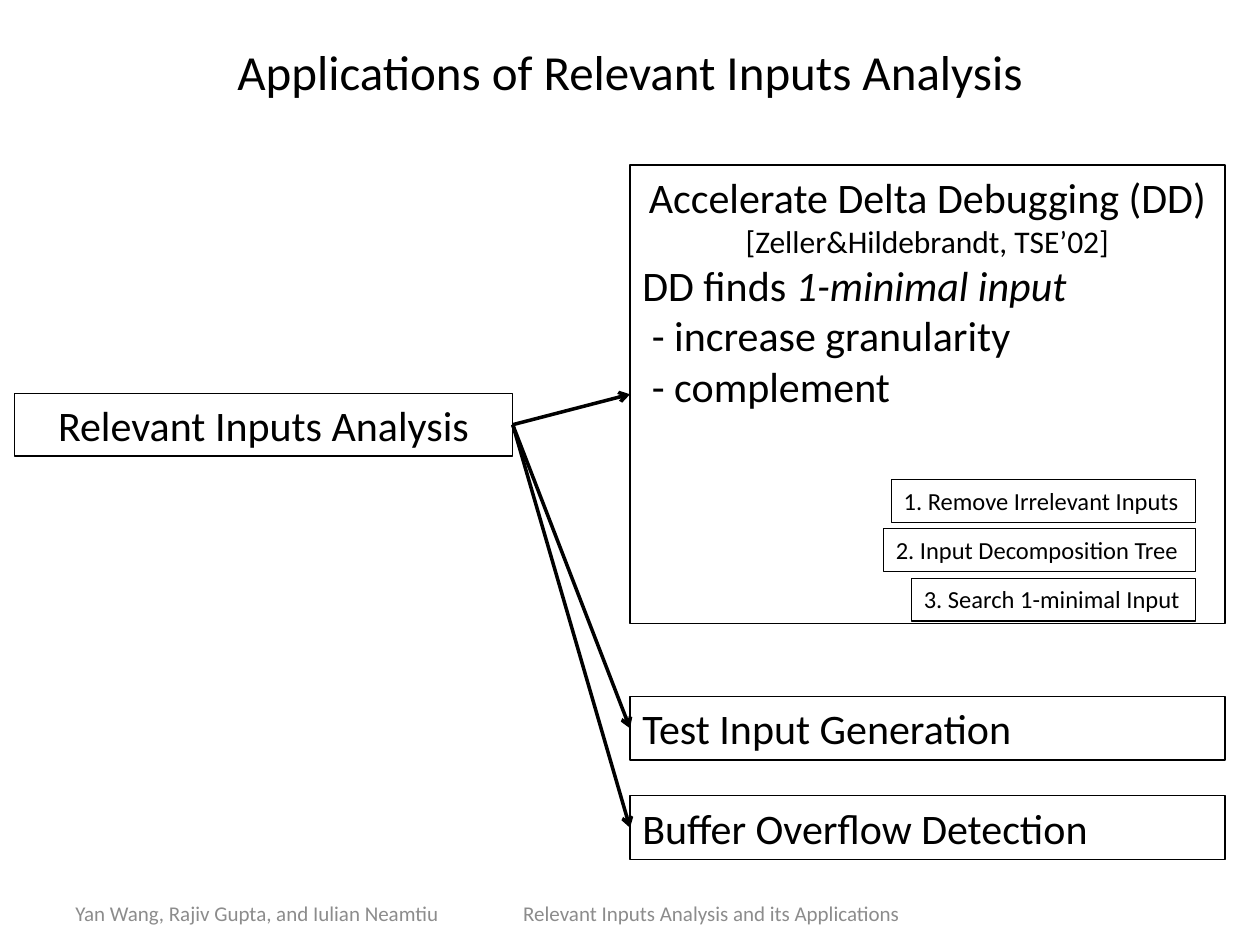
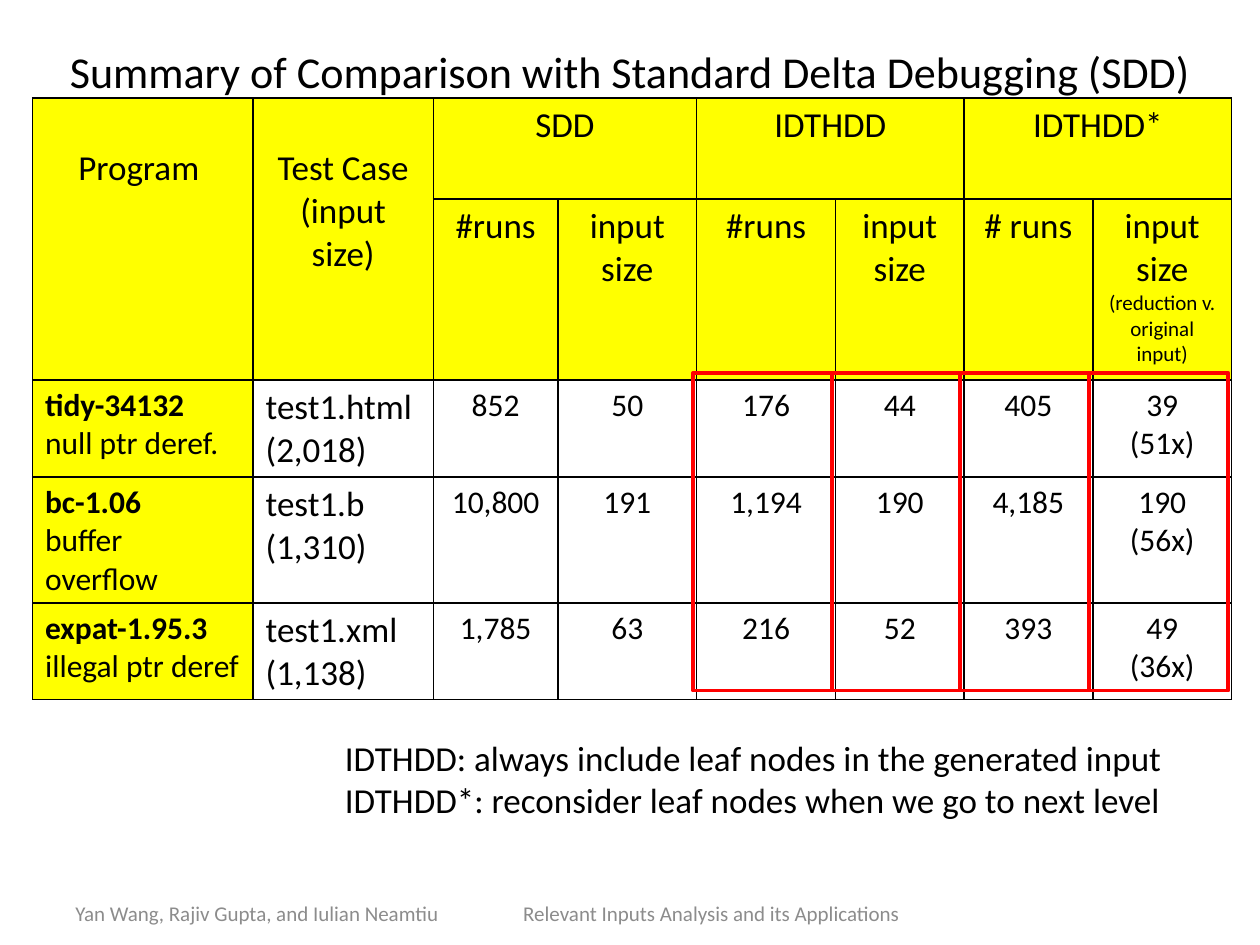
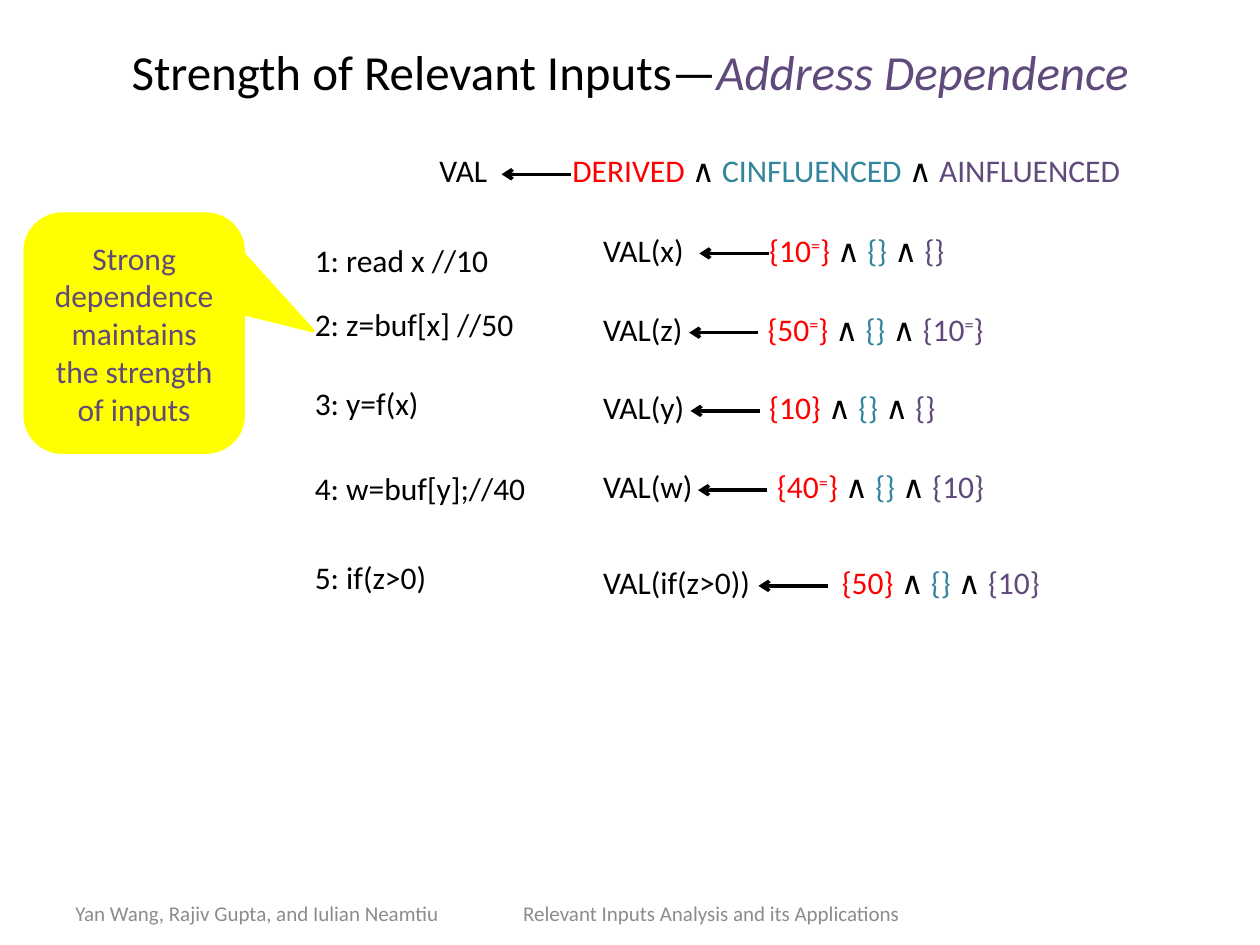
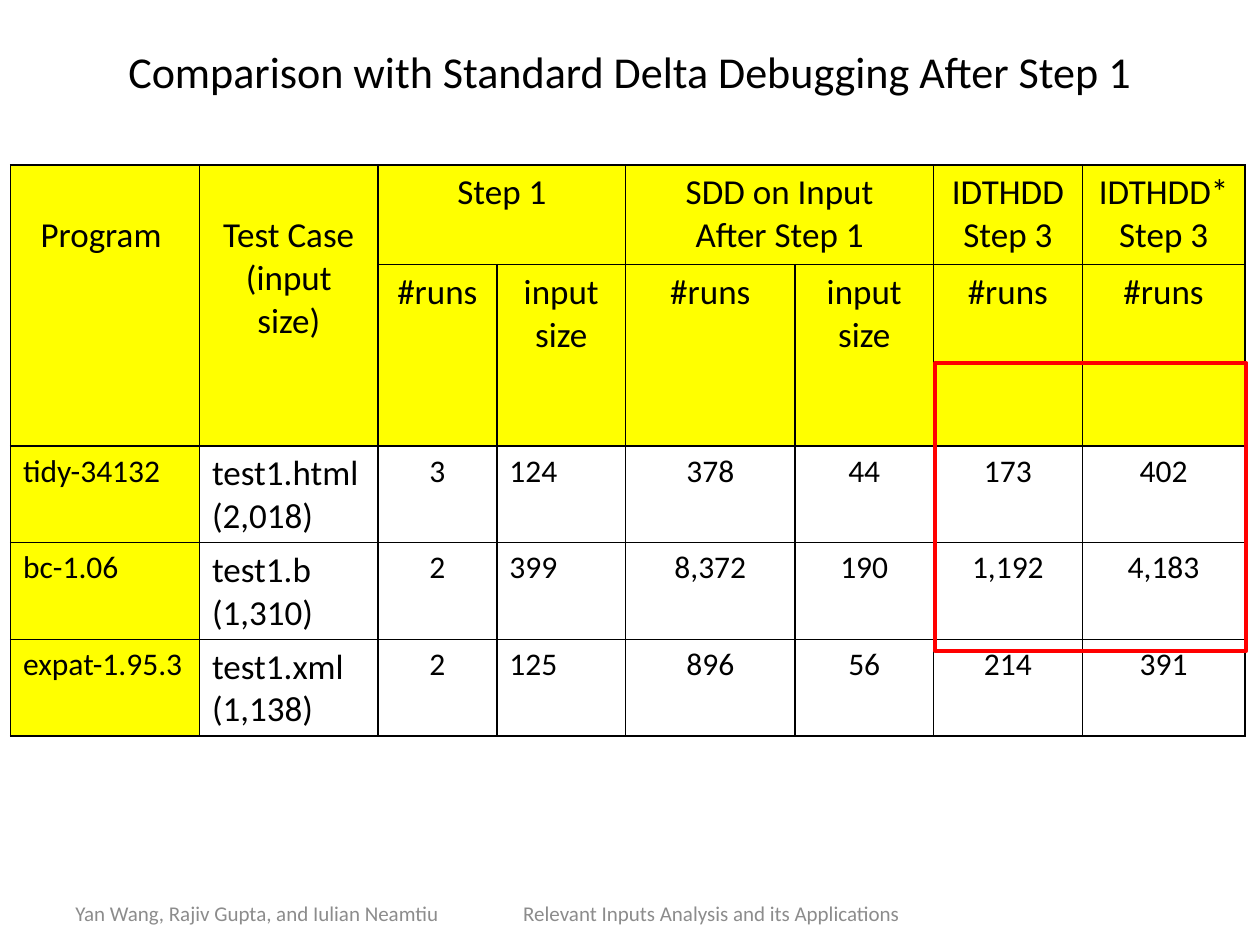
from lxml.etree import SubElement
from pptx import Presentation
from pptx.dml.color import RGBColor
from pptx.enum.shapes import MSO_CONNECTOR, MSO_SHAPE
from pptx.enum.text import MSO_ANCHOR, PP_ALIGN
from pptx.oxml.ns import qn
from pptx.util import Pt

FONT = "Calibri"
BLACK, GREY, RED, YELLOW = "000000", "8C8C8C", "FF0000", "FFFF00"
TEAL, PURPLE = "31859C", "604A7B"
LEFT, CENTER = PP_ALIGN.LEFT, PP_ALIGN.CENTER
AUTHORS = "Yan Wang, Rajiv Gupta, and Iulian Neamtiu"
TALK = "Relevant Inputs Analysis and its Applications"
AND = ("\u2227 ", {})


def rgb(value):
    """Turn a hex string into a colour."""
    return RGBColor.from_string(value)


def plain(text, **style):
    """Make one single-run paragraph from each line of the text."""
    return [[(line, style)] for line in text.split("\n")]


def add_run(paragraph, text, size=18, color=BLACK, bold=False, italic=False,
            superscript=False):
    """Add styled text; a vertical tab in it is a line break."""
    for index, part in enumerate(text.split("\v")):
        if index:
            paragraph.add_line_break()
        if not part:
            continue
        run = paragraph.add_run()
        run.text = part
        font = run.font
        font.name, font.size, font.bold, font.italic = FONT, Pt(size), bold, italic
        font.color.rgb = rgb(color)
        if superscript:
            run._r.get_or_add_rPr().set("baseline", "30000")


def write(frame, paragraphs, align=LEFT):
    """Fill a text frame with paragraphs, each a list of (text, style) runs."""
    for index, runs in enumerate(paragraphs):
        paragraph = frame.add_paragraph() if index else frame.paragraphs[0]
        paragraph.alignment = align
        for text, style in runs:
            add_run(paragraph, text, **style)


def set_tab(paragraph, position):
    """Give a paragraph one left tab stop."""
    tabs = SubElement(paragraph._p.get_or_add_pPr(), qn("a:tabLst"))
    SubElement(tabs, qn("a:tab"), pos=str(Pt(position)), algn="l")


def add_text(slide, left, top, width, height, paragraphs, align=LEFT,
             anchor=MSO_ANCHOR.TOP, wrap=True, tab=None):
    """Add a text box, with a tab stop if one is given."""
    shape = slide.shapes.add_textbox(Pt(left), Pt(top), Pt(width), Pt(height))
    frame = shape.text_frame
    frame.word_wrap = wrap
    frame.vertical_anchor = anchor
    write(frame, paragraphs, align)
    if tab:
        set_tab(frame.paragraphs[0], tab)
    return shape


def add_box(slide, left, top, width, height, paragraphs=(), align=LEFT,
            line=BLACK, line_width=0.75, fill=None, wrap=True,
            kind=MSO_SHAPE.RECTANGLE, anchor=MSO_ANCHOR.TOP):
    """Add an outlined shape that may hold text."""
    shape = slide.shapes.add_shape(kind, Pt(left), Pt(top), Pt(width), Pt(height))
    shape.shadow.inherit = False
    if fill:
        shape.fill.solid()
        shape.fill.fore_color.rgb = rgb(fill)
    else:
        shape.fill.background()
    shape.line.color.rgb = rgb(line)
    shape.line.width = Pt(line_width)
    shape.text_frame.word_wrap = wrap
    shape.text_frame.vertical_anchor = anchor
    write(shape.text_frame, paragraphs, align)
    return shape


def add_arrow(slide, start_x=0, start_y=0, end_x=0, end_y=0):
    """Add a black line with an open arrowhead at its end."""
    arrow = slide.shapes.add_connector(
        MSO_CONNECTOR.STRAIGHT, Pt(start_x), Pt(start_y), Pt(end_x), Pt(end_y))
    arrow.line.color.rgb = rgb(BLACK)
    arrow.line.width = Pt(2)
    SubElement(arrow.line._get_or_add_ln(), qn("a:tailEnd"), type="arrow")
    SubElement(arrow._element.spPr, qn("a:effectLst"))
    return arrow


def add_borders(cell):
    """Draw thin black lines on all sides of a cell."""
    properties = cell._tc.get_or_add_tcPr()
    for side in ("lnL", "lnR", "lnT", "lnB"):
        line = SubElement(properties, qn(f"a:{side}"), w=str(Pt(1)))
        fill = SubElement(line, qn("a:solidFill"))
        SubElement(fill, qn("a:srgbClr"), val=BLACK)


def add_results_table(slide, left, top, widths, heights, header, body, spans,
                      left_columns=(0, 1)):
    """Add a table with two yellow header rows and a yellow first column."""
    rows = header + body
    table = slide.shapes.add_table(
        len(rows), len(widths), Pt(left), Pt(top),
        Pt(sum(widths)), Pt(sum(heights))).table
    table.first_row = table.horz_banding = False
    for column, width in zip(table.columns, widths):
        column.width = Pt(width)
    for row, height in zip(table.rows, heights):
        row.height = Pt(height)
    for row, values in enumerate(rows):
        is_header = row < len(header)
        for column, value in enumerate(values):
            cell = table.cell(row, column)
            add_borders(cell)
            if is_header or column == 0:
                cell.fill.solid()
                cell.fill.fore_color.rgb = rgb(YELLOW)
            else:
                cell.fill.background()
            if value is None:
                continue
            if isinstance(value, str):
                value = plain(value, size=20 if is_header or column == 1 else 18)
            align = LEFT if not is_header and column in left_columns else CENTER
            write(cell.text_frame, value, align)
    for first_row, first_column, last_row, last_column in spans:
        table.cell(first_row, first_column).merge(table.cell(last_row, last_column))
    for column in (0, 1):
        table.cell(0, column).margin_top = Pt(28)


def new_slide(presentation, title, left=36):
    """Add a blank slide with the shared title and footer."""
    slide = presentation.slides.add_slide(presentation.slide_layouts[6])
    add_text(slide, left, 5.8, 720 - 2 * left, 69.8, [title], CENTER,
             MSO_ANCHOR.MIDDLE)
    footer = add_text(slide, 0, 504, 558, 36,
                      plain(f"{AUTHORS}\t{TALK}", size=12, color=GREY),
                      anchor=MSO_ANCHOR.MIDDLE, tab=256)
    footer.text_frame.margin_left = Pt(43)
    return slide


def applications_slide(presentation):
    """Show the three applications of the analysis."""
    slide = new_slide(presentation,
                      [("Applications of Relevant Inputs Analysis", {"size": 28})])
    big = {"size": 24}
    analysis = add_box(slide, 8.3, 224.7, 284.7, 36,
                       plain("Relevant Inputs Analysis", **big), CENTER)
    debugging = add_box(slide, 360, 94.3, 340, 262, [
        [("Accelerate Delta Debugging (DD)\v", big),
         ("[Zeller&Hildebrandt, TSE\u201902]", {})],
        [("DD finds ", big), ("1-minimal input", {"size": 24, "italic": True})],
        [(" - increase granularity", big)],
        [(" - complement", big)]])
    debugging.text_frame.paragraphs[0].alignment = CENTER
    steps = [("1. Remove Irrelevant Inputs", 174), ("2. Input Decomposition Tree", 178.5),
             ("3. Search 1-minimal Input", 162.5)]
    for index, (step, width) in enumerate(steps):
        add_box(slide, 683.3 - width, 274 + 28.2 * index, width, 24.5,
                plain(step, size=14), wrap=False)
    generation, overflow = [
        add_box(slide, 360, top, 340, 36.4, plain(text, **big))
        for text, top in (("Test Input Generation", 398),
                          ("Buffer Overflow Detection", 454.8))]
    for target in (debugging, generation, overflow):
        arrow = add_arrow(slide)
        arrow.begin_connect(analysis, 3)
        arrow.end_connect(target, 1)


def summary_slide(presentation):
    """Compare both variants with standard delta debugging."""
    slide = new_slide(presentation, [(
        "Summary of Comparison with Standard Delta Debugging (SDD)",
        {"size": 25.2})], left=25.4)
    header = [
        ["Program ", "Test Case\n(input size)", "SDD", None, "IDTHDD", None,
         "IDTHDD*", None],
        [None, None, "#runs", "input\vsize", "#runs", "input size", "# runs",
         [[("input size\v", {"size": 20}),
           ("(reduction v. original input)", {"size": 12})]]],
    ]
    results = [
        ("tidy-34132", "null ptr deref.", "test1.html\n(2,018)",
         "852", "50", "176", "44", "405", "39\v(51x)"),
        ("bc-1.06", "buffer overflow", "test1.b\n(1,310)",
         "10,800", "191", "1,194", "190", "4,185", "190\v(56x)"),
        ("expat-1.95.3", "illegal ptr deref", "test1.xml\n(1,138)",
         "1,785", "63", "216", "52", "393", "49\v(36x)"),
    ]
    body = [[[[(program, {"bold": True})], [(fault, {})]], *values]
            for program, fault, *values in results]
    widths = [126, 103, 71.3, 79.2, 79.4, 73.4, 73.6, 79.4]
    spans = [(0, 0, 1, 0), (0, 1, 1, 1), (0, 2, 0, 3), (0, 4, 0, 5), (0, 6, 0, 7)]
    add_results_table(slide, 18.6, 56, widths, [57.6, 67, 43.2, 50.4, 32.4],
                      header, body, spans)
    left = 396
    for width in widths[4:]:
        add_box(slide, left, 213.1, width, 181.5, line=RED, line_width=2.25)
        left += width
    add_text(slide, 190, 417.6, 516, 55.4, plain(
        "IDTHDD: always include leaf nodes in the generated input\n"
        "IDTHDD*: reconsider leaf nodes when we go to next level", size=20))


def value_set(value, color):
    """Make runs for a set; a closing equals sign is raised."""
    style = {"color": color}
    if value.endswith("="):
        return [("{" + value[:-1], style), ("=", {**style, "superscript": True}),
                ("} ", style)]
    return [("{" + value + "} ", style)]


def add_rule(slide, left, top, width, name, tab, tip, sets):
    """Add a name, an arrow to it and the three sets behind the arrow."""
    derived, control, address = sets
    runs = [(name + "\t", {}), *derived, AND, *control, AND, *address]
    add_text(slide, left, top, width, 29, [runs], tab=tab)
    add_arrow(slide, tip + 39.6, top + 16.6, tip, top + 16.6)


def strength_slide(presentation):
    """Trace the strength of inputs through five statements."""
    slide = new_slide(presentation, [
        ("Strength of Relevant Inputs\u2014", {"size": 28}),
        ("Address Dependence", {"size": 28, "color": PURPLE, "italic": True})])
    colors = (RED, TEAL, PURPLE)
    names = ("DERIVED ", "CINFLUENCED ", "AINFLUENCED")
    add_rule(slide, 244, 83, 439, "VAL", 76, 286.6,
             [[(name, {"color": color})] for name, color in zip(names, colors)])
    statements = [
        ("1: read x //10", 133.9, "VAL(x)", 128.2, 95, 399.6, ("10=", "", "")),
        ("2: z=buf[x] //50", 170.6, "VAL(z)", 173.5, 94, 393.8, ("50=", "", "10=")),
        ("3: y=f(x)", 216, "VAL(y)", 218.2, 95, 394.6, ("10", "", "")),
        ("4: w=buf[y];//40", 264.2, "VAL(w)", 263.5, 99.5, 398.9, ("40=", "", "10")),
        ("5: if(z>0)", 315.4, "VAL(if(z>0))", 318.2, 136.5, 433.4, ("50", "", "10")),
    ]
    for code, code_top, name, top, tab, tip, values in statements:
        add_text(slide, 172.8, code_top, 136, 29, plain(code), wrap=False)
        add_rule(slide, 337.5, top, 284, name, tab, tip,
                 [value_set(value, color) for value, color in zip(values, colors)])
    callout = add_box(
        slide, 14.4, 122.4, 124.6, 136,
        plain("Strong dependence maintains the strength of inputs", color=PURPLE),
        CENTER, YELLOW, 2, YELLOW, kind=MSO_SHAPE.ROUNDED_RECTANGULAR_CALLOUT,
        anchor=MSO_ANCHOR.MIDDLE)
    for index, value in enumerate((0.82, -0.01, 0.17)):
        callout.adjustments[index] = value


def step_slide(presentation):
    """Compare the methods after the first step."""
    slide = new_slide(presentation, [(
        "Comparison with Standard Delta Debugging After Step 1", {"size": 25.2})])
    header = [
        ["Program ", "Test Case\n(input size)", "Step 1", None,
         "SDD on Input\nAfter Step 1", None, "IDTHDD\nStep 3", "IDTHDD*\nStep 3"],
        [None, None, *["#runs", "input size"] * 2, "#runs", "#runs"],
    ]
    body = [
        ["tidy-34132", "test1.html\n(2,018)", "3", "124", "378", "44", "173", "402"],
        ["bc-1.06", "test1.b\n(1,310)", "2", "399", "8,372", "190", "1,192", "4,183"],
        ["expat-1.95.3", "test1.xml\n(1,138)", "2", "125", "896", "56", "214", "391"],
    ]
    widths = [108, 102, 67.9, 73.7, 96.7, 79.2, 85, 93]
    spans = [(0, 0, 1, 0), (0, 1, 1, 1), (0, 2, 0, 3), (0, 4, 0, 5)]
    add_results_table(slide, 6, 94.3, widths, [56.9, 56.9, 43.2, 50.4, 32.4],
                      header, body, spans, left_columns=(0, 1, 3))
    add_box(slide, 534.3, 207.4, 178, 164.4, line=RED, line_width=2.25)


def main():
    """Build and save the presentation."""
    presentation = Presentation()
    presentation.slide_width, presentation.slide_height = Pt(720), Pt(540)
    applications_slide(presentation)
    summary_slide(presentation)
    strength_slide(presentation)
    step_slide(presentation)
    presentation.save("out.pptx")


main()
